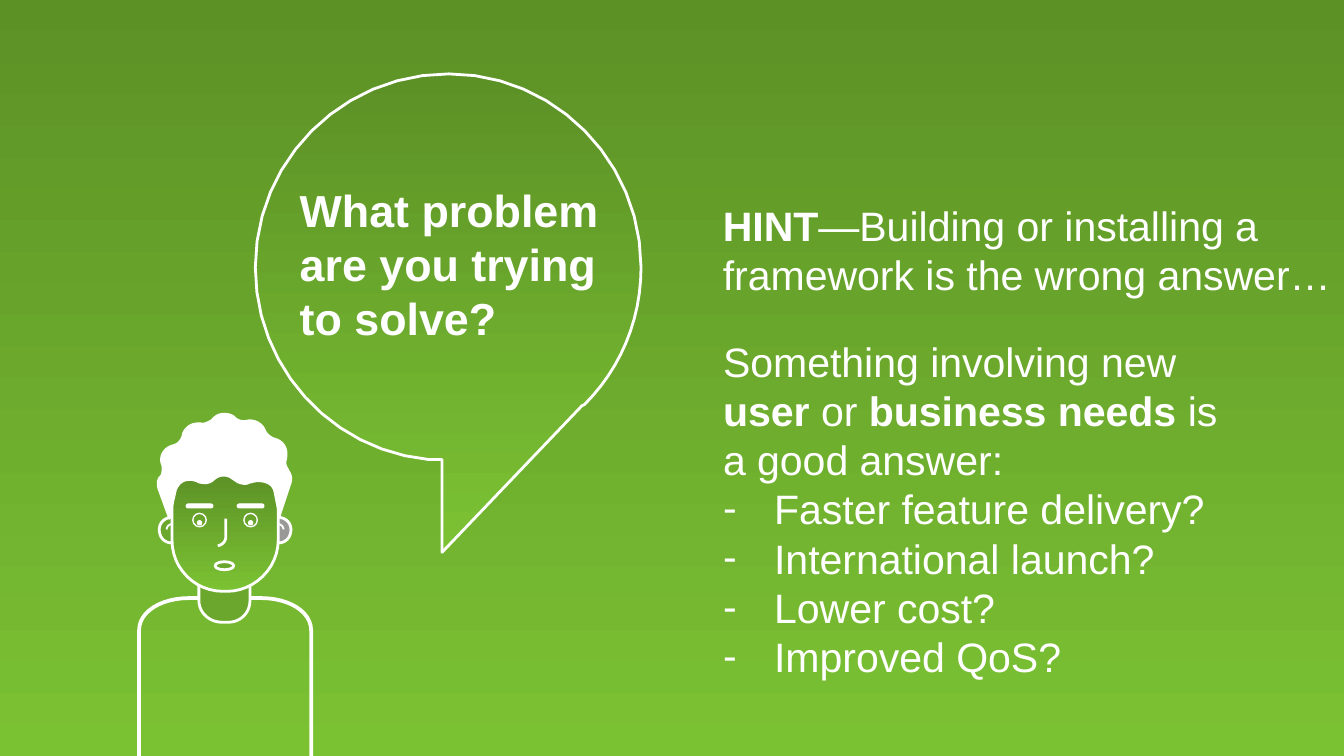
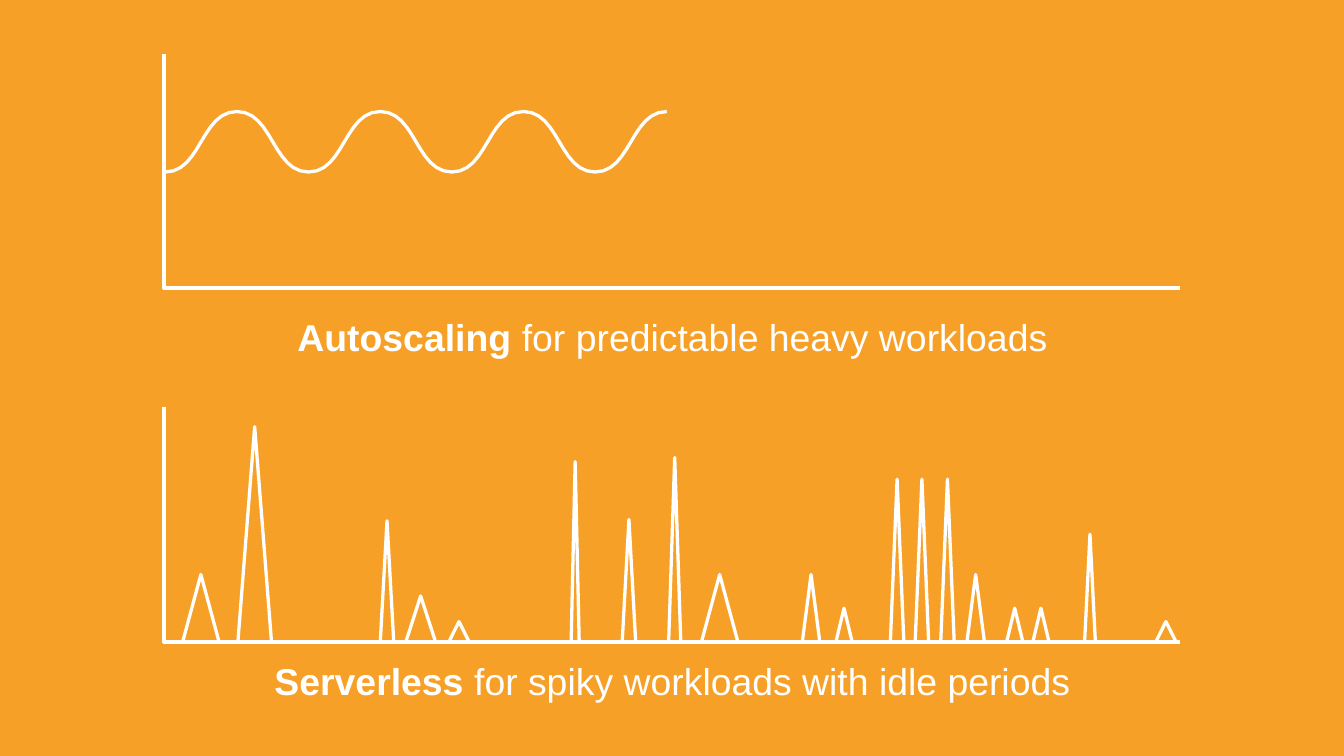
from pptx import Presentation
from pptx.dml.color import RGBColor as RGB
from pptx.enum.shapes import MSO_SHAPE as SHAPE
from pptx.enum.text import MSO_ANCHOR as ANCHOR, MSO_AUTO_SIZE as AUTO, PP_ALIGN as ALIGN
from pptx.oxml.ns import qn
from pptx.util import Emu, Inches, Pt
from lxml.etree import SubElement

COLORS = {
    "white": "FFFFFF",
    "dark_green": "5C9126",
    "light_green": "7BC233",
    "mid_green": "6AA72C",
    "grey": "999A98",
    "orange": "F7A028",
}
GREENS = ("dark_green", "light_green")
FONT = "Arial"
COLUMNS = 100  # square grid cells
TITLE_ONLY, TITLE_AND_BODY = 5, 1


def write(p, text, size=22, color="white", align=None, bullet=None, indent=0):
    """Fill a paragraph; **marks** switch bold on and off, a newline breaks the line."""
    pPr = p._p.get_or_add_pPr()
    pPr.set("marL", str(Inches(indent)))
    pPr.set("indent", str(-Inches(indent)))
    if bullet:
        SubElement(pPr, qn("a:buChar"), char=bullet)
    else:
        SubElement(pPr, qn("a:buNone"))
    p.alignment = align
    p.space_before = Pt(0)
    for i, part in enumerate(text.split("**")):
        for j, line in enumerate(part.split("\n")):
            if j:
                p.add_line_break()
            if line:
                r = p.add_run()
                r.text = line
                r.font.name, r.font.size = FONT, Pt(size)
                r.font.bold = i % 2 == 1
                r.font.color.rgb = RGB.from_string(COLORS[color])


def bezier(p0, p1, p2, p3, steps=12):
    """Points along a cubic curve, without its start."""
    for k in range(1, steps + 1):
        t = k / steps
        u = 1 - t
        yield tuple(u**3 * a + 3 * u * u * t * b + 3 * u * t * t * c + t**3 * d
                    for a, b, c, d in zip(p0, p1, p2, p3))


class Deck:
    """Holds the presentation, its grid and style, and the current slide."""

    def __init__(self):
        self.prs = Presentation()
        self.prs.slide_width, self.prs.slide_height = Inches(10), Inches(5.625)
        self.cell = self.prs.slide_width / COLUMNS

    def grid(self, *lengths):
        return [Emu(round(v * self.cell)) for v in lengths]

    def paint(self, fill, color):
        """None leaves no fill, a name gives a solid, a pair a vertical gradient."""
        if color is None:
            fill.background()
        elif isinstance(color, str):
            fill.solid()
            fill.fore_color.rgb = RGB.from_string(COLORS[color])
        else:
            fill.gradient()
            fill.gradient_angle = 270
            for stop, name in zip(fill.gradient_stops, color):
                stop.color.rgb = RGB.from_string(COLORS[name])

    def slide(self, layout, background):
        self.s = self.prs.slides.add_slide(self.prs.slide_layouts[layout])
        self.canvas = self.s.shapes
        self.paint(self.s.background.fill, background)

    def group(self):
        self.canvas = self.s.shapes.add_group_shape().shapes

    def ungroup(self):
        self.canvas = self.s.shapes

    def style(self, sp, fill, line):
        sp.shadow.inherit = False
        self.paint(sp.fill, fill)
        if line:
            self.paint(sp.line.fill, "white")
            sp.line.width = Pt(line)
        else:
            sp.line.fill.background()
        return sp

    def shape(self, kind, x, y, w, h, fill=None, line=None):
        sp = self.canvas.add_shape(kind, *self.grid(x, y, w, h))
        return self.style(sp, fill, line)

    def dot(self, cx, cy, w, h, **look):
        return self.shape(SHAPE.OVAL, cx - w / 2, cy - h / 2, w, h, **look)

    def outline(self, start, *steps, fill=None, line=None, close=False):
        """Draw steps of two numbers as lines and of six as cubic curves."""
        points = [start]
        for step in steps:
            if len(step) == 2:
                points.append(step)
            else:
                points.extend(bezier(points[-1], step[:2], step[2:4], step[4:]))
        first, *rest = [self.grid(*point) for point in points]
        builder = self.canvas.build_freeform(*first)
        builder.add_line_segments(rest, close=close)
        return self.style(builder.convert_to_shape(), fill, line)

    def text(self, x, y, w, h, *paragraphs, holder=None, **look):
        """Write paragraphs, each a text or a (text, format) pair, in front of the rest."""
        if holder is None:
            sp = self.s.shapes.add_textbox(*self.grid(x, y, w, h))
        else:
            sp = self.s.placeholders[holder]
            sp.left, sp.top, sp.width, sp.height = self.grid(x, y, w, h)
            sp.element.getparent().append(sp.element)
        tf = sp.text_frame
        tf.word_wrap, tf.auto_size = True, AUTO.SHAPE_TO_FIT_TEXT
        tf.vertical_anchor = ANCHOR.TOP
        for i, item in enumerate(paragraphs):
            text, extra = (item, {}) if isinstance(item, str) else item
            p = tf.add_paragraph() if i else tf.paragraphs[0]
            write(p, text, **{"align": ALIGN.LEFT, **look, **extra})

    def axes(self, top):
        left, right, bottom = 12.2, 87.8, top + 17.45
        self.outline((right, bottom), (left, bottom), (left, top), line=2)
        return bottom


def draw_person(deck):
    middle = 16.75
    deck.group()
    deck.outline((10.35, 56.4), (10.35, 46.9), (10.35, 45.5, 12, 44.5, 14.1, 44.5),
                 (19.4, 44.5), (21.5, 44.5, 23.15, 45.5, 23.15, 46.9),
                 (23.15, 56.4), line=2)
    sides = ((-1, "mid_green"), (1, "grey"))
    for side, fill in sides:
        def x(offset):
            return middle + side * offset
        deck.outline((x(2.95), 39.4), (x(2.95), 38.9, x(3.35), 38.5, x(3.95), 38.5),
                     (x(4.5), 38.5, x(4.9), 38.9, x(4.9), 39.4),
                     (x(4.9), 40, x(4.5), 40.4, x(3.95), 40.4),
                     (x(3.75), 40.4, x(3.6), 40.4, x(3.45), 40.3), fill=fill, line=1.5)
    deck.outline((17, 46.3), (16.5, 46.3), (15.6, 46.3, 14.8, 45.6, 14.8, 44.7),
                 (14.8, 43.2), (18.6, 43.2), (18.6, 44.7),
                 (18.6, 45.6, 17.9, 46.3, 17, 46.3),
                 fill="mid_green", line=1.5, close=True)
    deck.outline((16.9, 44), (16.6, 44), (14.5, 44, 12.8, 42.3, 12.8, 40.2),
                 (12.8, 37.4), (12.8, 36.2, 13.8, 35.2, 15, 35.2), (18.7, 35.2),
                 (19.8, 35.2, 20.7, 36.1, 20.7, 37.2), (20.7, 40.2),
                 (20.7, 42.3, 18.9, 44, 16.9, 44), fill=GREENS, line=1.5, close=True)
    deck.outline((16.2, 40.6), (16.5, 40.6, 16.8, 40.3, 16.8, 40), (16.8, 38.6), line=1.5)
    for side, _ in sides:
        brow = deck.shape(SHAPE.ROUNDED_RECTANGLE, middle + side * 1.9 - 1, 37.5, 2, 0.3,
                          fill="white", line=0.5)
        brow.adjustments[0] = 0.5
        eye = middle + side * 1.9
        deck.dot(eye, 38.7, 1, 1, line=0.75)
        deck.dot(eye, 38.9, 0.4, 0.4, fill="white")
    deck.outline((12.6, 38.6), (11.8, 36.4), (11.7, 36.1, 11.7, 35.7, 11.9, 35.5),
                 (12, 35.4), (12.1, 35.2, 12.1, 34.9, 12.1, 34.7), (12, 34.4),
                 (11.9, 33.9, 12.2, 33.4, 12.7, 33.2), (13, 33.1),
                 (13.3, 33, 13.5, 32.7, 13.6, 32.4), (13.6, 32.3),
                 (13.8, 31.8, 14.2, 31.5, 14.8, 31.5), (14.9, 31.5),
                 (15.2, 31.6, 15.5, 31.4, 15.7, 31.3), (15.9, 31.1),
                 (16.3, 30.7, 17, 30.7, 17.4, 31), (17.5, 31.1),
                 (17.7, 31.3, 18.1, 31.4, 18.4, 31.3),
                 (18.9, 31.2, 19.5, 31.5, 19.7, 32),
                 (19.8, 32.3, 20.1, 32.5, 20.3, 32.6), (20.6, 32.7),
                 (21.1, 32.9, 21.4, 33.4, 21.3, 34), (21.3, 34.1),
                 (21.2, 34.4, 21.2, 34.6, 21.4, 34.9), (21.5, 35.1),
                 (21.7, 35.4, 21.7, 35.7, 21.6, 36), (20.9, 38.1), (20.8, 38.5),
                 (20.4, 36.5), (20.2, 35.8, 19.2, 35.7, 18.7, 35.9), (18.6, 35.9),
                 (18.3, 36.1, 18, 36, 17.7, 35.9), (17.1, 35.5),
                 (16.7, 35.3, 16.2, 35.4, 15.9, 35.7),
                 (15.6, 36, 15.2, 36, 14.8, 35.9),
                 (14.3, 35.6, 13.4, 35.6, 13.1, 36.4),
                 fill="white", line=1, close=True)
    for side, _ in sides:
        inner, outer = middle + side * 3.95, middle + side * 4.35
        deck.outline((inner, 39), ((inner + outer) / 2, 39, outer, 39.2, outer, 39.4), line=1)
    deck.dot(16.7, 42.1, 1.4, 0.6, fill="mid_green", line=1.5)
    deck.ungroup()


def problem_slide(deck):
    deck.slide(TITLE_AND_BODY, GREENS)
    draw_person(deck)
    deck.outline((33.4, 5.5), (41.3, 5.5, 47.7, 12, 47.7, 19.9),
                 (47.7, 23.9, 46.1, 27.5, 43.5, 30.1), (43.3, 30.2), (32.9, 41.1),
                 (32.9, 34.2), (31.9, 34.2), (24.6, 33.5, 19, 27.3, 19, 19.9),
                 (19, 12, 25.4, 5.5, 33.4, 5.5), fill=GREENS, line=1.5, close=True)
    deck.text(21.3, 13.1, 27.2, 13.1, "**What problem are you trying to solve?**",
              holder=0, size=24)
    deck.text(52.8, 14.4, 47.8, 8.4,
              "**HINT**—Building or installing a framework is the wrong answer…")
    hints = ("Faster feature delivery?", "International launch?", "Lower cost?", "Improved QoS?")
    deck.text(52.8, 24.5, 39.5, 26.9,
              "Something involving new\n**user **or** business needs **is a good answer:",
              *[(hint, {"bullet": "-", "indent": 0.38}) for hint in hints], holder=1)


def workload_slide(deck):
    deck.slide(TITLE_ONLY, "orange")
    caption = {"size": 20, "align": ALIGN.CENTER}
    deck.axes(4)
    x, step, low, high = 12.3, 10.66 / 2, 12.8, 8.3
    wave = []
    for i in range(7):
        start, end = (high, low) if i % 2 else (low, high)
        mid = x + (i + 0.5) * step
        wave.append((mid, start, mid, end, x + (i + 1) * step, end))
    deck.outline((x, low), *wave, line=1.75)

    deck.group()
    base = deck.axes(30.3)
    spikes = (  # centre, width, height
        (14.95, 2.7, 5), (18.95, 2.5, 16), (28.8, 1, 9), (31.3, 2.2, 3.4),
        (34.15, 1.5, 1.5), (42.8, 0.6, 13.4), (46.8, 1, 9.1), (50.2, 0.9, 13.7),
        (53.55, 2.7, 5), (60.35, 1.3, 5), (62.8, 1.2, 2.5), (66.75, 1, 12.1),
        (68.6, 1, 12.1), (70.5, 1, 12.1), (72.6, 1.3, 5), (75.5, 1.2, 2.5),
        (77.45, 1.2, 2.5), (81.1, 0.8, 8), (86.75, 1.5, 1.5),
    )
    for centre, width, height in spikes:
        deck.shape(SHAPE.ISOSCELES_TRIANGLE, centre - width / 2, base - height,
                   width, height, line=1.75)
    deck.ungroup()
    deck.text(11.5, 22.9, 77.1, 4.4, "**Autoscaling** for predictable heavy workloads",
              holder=0, **caption)
    deck.text(11.5, 48.5, 77.1, 4.4, "**Serverless **for spiky workloads with idle periods",
              **caption)


def main():
    deck = Deck()
    problem_slide(deck)
    workload_slide(deck)
    deck.prs.save("out.pptx")


if __name__ == "__main__":
    main()
